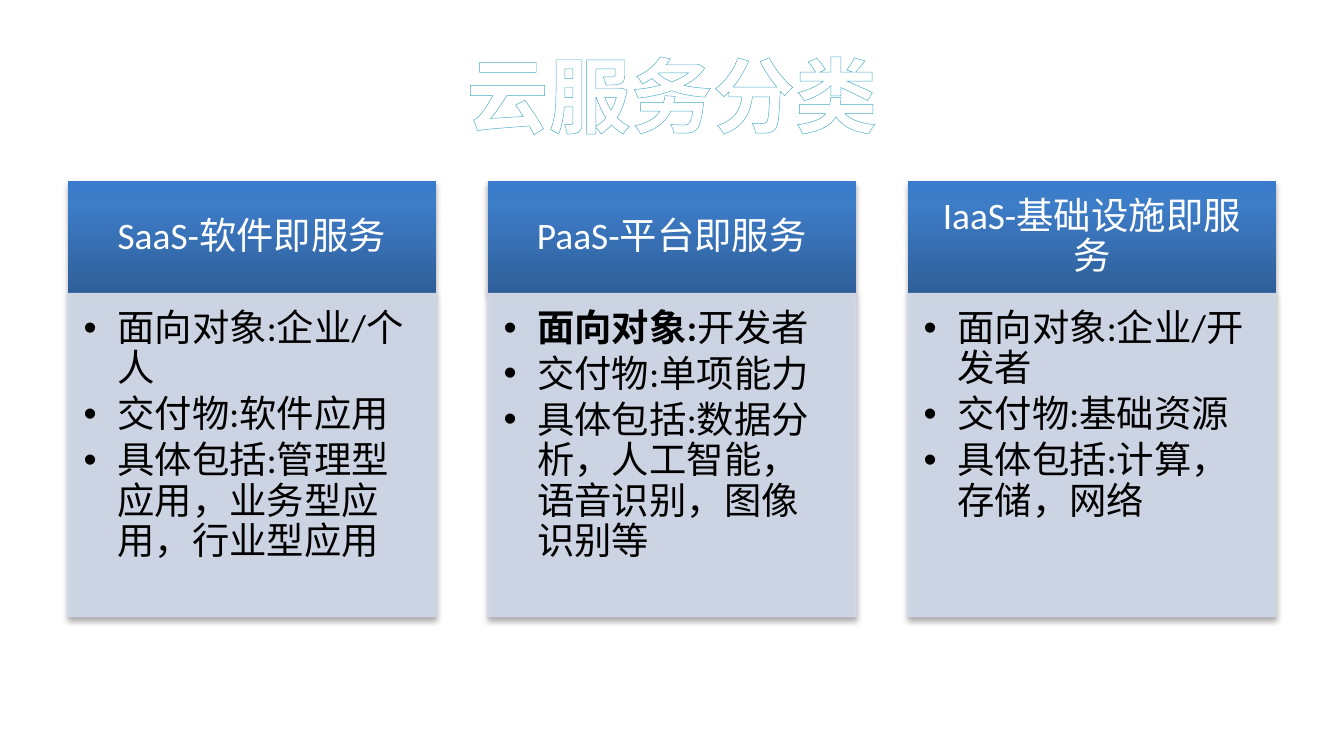
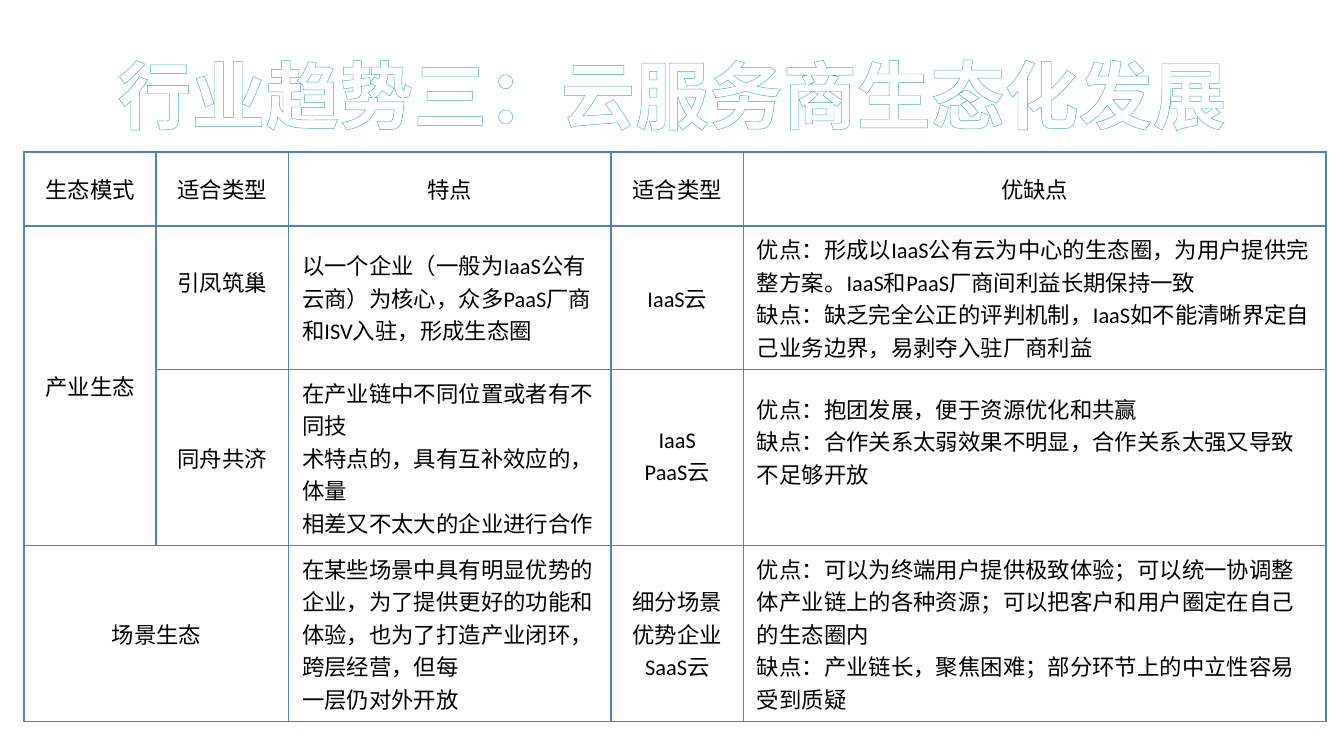
import dataclasses
import typing

import lxml.etree
import pptx
import pptx.dml.color
import pptx.enum.lang
import pptx.enum.shapes
import pptx.enum.text
import pptx.oxml.ns
import pptx.util

Pt = pptx.util.Pt
qn = pptx.oxml.ns.qn
PP_ALIGN = pptx.enum.text.PP_ALIGN
ANCHOR = pptx.enum.text.MSO_ANCHOR

COLORS = {
    "white": "FFFFFF",
    "black": "000000",
    "title_outline": "4BACC6",
    "head_dark": "2F5F99",
    "head_mid": "3D7CC7",
    "head_light": "3A7CCB",
    "card_body": "D0D8E8",
    "grid": "4F81BD",
}
BODY_FONT = "Calibri"
TITLE_FONT = "Arial"

# Card layout
CARD_LEFT, CARD_TOP, CARD_WIDTH, CARD_PITCH = 36.3, 97.2, 197.2, 225
HEAD_HEIGHT, BODY_HEIGHT = 60, 173

# Table layout
TABLE_LEFT, TABLE_TOP = 13, 81.5
COL_WIDTHS = (70.7, 70.9, 172.8, 70.9, 312)
ROW_HEIGHTS = (39.6, 76.8, 94.3, 94.3)
PROSE_COLS = (2, 4)


@dataclasses.dataclass(frozen=True)
class Card:
    heading: str
    points: tuple[str, ...]
    bold_lead: str = ""


@dataclasses.dataclass(frozen=True)
class Cell:
    row: int
    col: int
    text: str
    row_span: int = 1
    col_span: int = 1
    raised: bool = False


CARDS = (
    Card("SaaS-软件即服务",
         ("面向对象:企业/个人", "交付物:软件应用",
          "具体包括:管理型应用，业务型应用，行业型应用")),
    Card("PaaS-平台即服务",
         ("开发者", "交付物:单项能力",
          "具体包括:数据分析，人工智能，语音识别，图像识别等"),
         bold_lead="面向对象:"),
    Card("IaaS-基础设施即服务",
         ("面向对象:企业/开发者", "交付物:基础资源",
          "具体包括:计算，存储，网络")),
)

HEADINGS = ("生态模式", "适合类型", "特点", "适合类型", "优缺点")
CELLS = (
    *(Cell(0, i, text) for i, text in enumerate(HEADINGS)),
    Cell(1, 0, "产业生态", row_span=2),
    Cell(1, 1, "引凤筑巢", raised=True),
    Cell(1, 2, "以一个企业（一般为IaaS公有云商）为核心，众多PaaS厂商和ISV入驻，形成生态圈"),
    Cell(1, 3, "IaaS云"),
    Cell(1, 4, "优点：形成以IaaS公有云为中心的生态圈，为用户提供完整方案。"
               "IaaS和PaaS厂商间利益长期保持一致\n"
               "缺点：缺乏完全公正的评判机制，IaaS如不能清晰界定自己业务边界，易剥夺入驻厂商利益"),
    Cell(2, 1, "同舟共济"),
    Cell(2, 2, "在产业链中不同位置或者有不同技\n术特点的，具有互补效应的，体量\n"
               "相差又不太大的企业进行合作"),
    Cell(2, 3, "IaaS\nPaaS云"),
    Cell(2, 4, "优点：抱团发展，便于资源优化和共赢\n"
               "缺点：合作关系太弱效果不明显，合作关系太强又导致不足够开放", raised=True),
    Cell(3, 0, "场景生态", col_span=2),
    Cell(3, 2, "在某些场景中具有明显优势的企业，为了提供更好的功能和体验，"
               "也为了打造产业闭环，跨层经营，但每\n一层仍对外开放"),
    Cell(3, 3, "细分场景优势企业\nSaaS云"),
    Cell(3, 4, "优点：可以为终端用户提供极致体验；可以统一协调整体产业链上的各种资源；"
               "可以把客户和用户圈定在自己的生态圈内\n"
               "缺点：产业链长，聚焦困难；部分环节上的中立性容易受到质疑"),
)


# Shared helpers
def rgb(name: str) -> pptx.dml.color.RGBColor:
    return pptx.dml.color.RGBColor.from_string(COLORS[name])


def add_xml(parent: typing.Any, tag: str, **attrs: typing.Any) -> typing.Any:
    return lxml.etree.SubElement(parent, qn(tag), {k: str(v) for k, v in attrs.items()})


def add_color(parent: typing.Any, name: str) -> typing.Any:
    return add_xml(parent, "a:srgbClr", val=COLORS[name])


def style_paragraph(p: typing.Any, size: float, color: str,
                    align: PP_ALIGN, font: str = BODY_FONT) -> None:
    p.alignment = align
    for r in p.runs:
        r.font.size = Pt(size)
        r.font.name = font
        r.font.color.rgb = rgb(color)
        r.font.language_id = pptx.enum.lang.MSO_LANGUAGE_ID.SIMPLIFIED_CHINESE


def set_margins(target: typing.Any, left: float, top: float,
                right: float, bottom: float) -> None:
    target.margin_left, target.margin_top = Pt(left), Pt(top)
    target.margin_right, target.margin_bottom = Pt(right), Pt(bottom)


def add_title(slide: typing.Any, text: str, size: float) -> None:
    box = slide.shapes.add_textbox(Pt(36), Pt(16.5), Pt(648), Pt(67.5))
    tf = box.text_frame
    tf.word_wrap = True
    tf.vertical_anchor = ANCHOR.MIDDLE
    tf.text = text
    p = tf.paragraphs[0]
    style_paragraph(p, size, "white", PP_ALIGN.CENTER, TITLE_FONT)
    p.runs[0].font.bold = True
    rpr = p.runs[0].font._element
    outline = add_xml(rpr, "a:ln", w=Pt(0.8))
    add_color(add_xml(outline, "a:solidFill"), "title_outline")
    rpr.insert(0, outline)


# Cards
def add_panel(slide: typing.Any, left: float, top: float, height: float) -> typing.Any:
    sp = slide.shapes.add_shape(pptx.enum.shapes.MSO_SHAPE.RECTANGLE,
                                Pt(left), Pt(top), Pt(CARD_WIDTH), Pt(height))
    sp.shadow.inherit = False
    effects = sp._element.spPr.find(qn("a:effectLst"))
    shadow = add_xml(effects, "a:outerShdw", blurRad=Pt(3.1), dist=Pt(1.8),
                     dir=5400000, rotWithShape=0)
    add_xml(add_color(shadow, "black"), "a:alpha", val=35000)
    sp.text_frame.word_wrap = True
    return sp


def fill_heading(sp: typing.Any) -> None:
    sp.line.fill.background()
    sppr = sp._element.spPr
    grad = add_xml(sppr, "a:gradFill", rotWithShape=1)
    stops = add_xml(grad, "a:gsLst")
    for pos, name in ((0, "head_dark"), (80, "head_mid"), (100, "head_light")):
        add_color(add_xml(stops, "a:gs", pos=pos * 1000), name)
    add_xml(grad, "a:lin", ang=270 * 60000, scaled=0)
    sppr.find(qn("a:prstGeom")).addnext(grad)


def fill_body(sp: typing.Any) -> None:
    sp.fill.solid()
    sp.fill.fore_color.rgb = rgb("card_body")
    sp.line.color.rgb = rgb("card_body")
    sp.line.width = Pt(0.75)
    sppr = sp._element.spPr
    for fill in (sppr.find(qn("a:solidFill")), sppr.find(qn("a:ln")).find(qn("a:solidFill"))):
        add_xml(fill[0], "a:alpha", val=90000)


def add_bullet(p: typing.Any) -> None:
    ppr = p._p.get_or_add_pPr()
    ppr.set("marL", str(Pt(18)))
    ppr.set("indent", str(-Pt(18)))
    add_xml(ppr, "a:buFont", typeface="Arial")
    add_xml(ppr, "a:buChar", char="•")
    p.level = 1
    p.line_spacing = 0.9
    p.space_after = Pt(3)


def add_card(slide: typing.Any, card: Card, left: float) -> None:
    head = add_panel(slide, left, CARD_TOP, HEAD_HEIGHT)
    fill_heading(head)
    tf = head.text_frame
    set_margins(tf, 11.5, 6.5, 11.5, 6.5)
    tf.vertical_anchor = ANCHOR.MIDDLE
    tf.text = card.heading
    tf.paragraphs[0].line_spacing = 0.9
    style_paragraph(tf.paragraphs[0], 20, "white", PP_ALIGN.CENTER)

    body = add_panel(slide, left, CARD_TOP + HEAD_HEIGHT, BODY_HEIGHT)
    fill_body(body)
    tf = body.text_frame
    set_margins(tf, 8.5, 8.5, 11.4, 12.2)
    tf.vertical_anchor = ANCHOR.TOP
    tf.text = "\n".join(card.points)
    if card.bold_lead:
        p = tf.paragraphs[0]
        p.text = card.bold_lead
        p.runs[0].font.bold = True
        p.add_run().text = card.points[0]
    for p in tf.paragraphs:
        add_bullet(p)
        style_paragraph(p, 20, "black", PP_ALIGN.LEFT)


# Table
def style_cell(cell: typing.Any) -> None:
    cell.fill.background()
    tcpr = cell._tc.get_or_add_tcPr()
    for i, side in enumerate(("a:lnL", "a:lnR", "a:lnT", "a:lnB")):
        ln = add_xml(tcpr, side, w=Pt(1))
        add_color(add_xml(ln, "a:solidFill"), "grid")
        tcpr.insert(i, ln)


def add_ecology_table(slide: typing.Any) -> None:
    frame = slide.shapes.add_table(len(ROW_HEIGHTS), len(COL_WIDTHS), Pt(TABLE_LEFT),
                                   Pt(TABLE_TOP), Pt(sum(COL_WIDTHS)), Pt(sum(ROW_HEIGHTS)))
    table = frame.table
    table.first_row = table.horz_banding = False
    for col, width in zip(table.columns, COL_WIDTHS):
        col.width = Pt(width)
    for row, height in zip(table.rows, ROW_HEIGHTS):
        row.height = Pt(height)
    for cell in table.iter_cells():
        style_cell(cell)
    for item in CELLS:
        cell = table.cell(item.row, item.col)
        if item.row_span > 1 or item.col_span > 1:
            cell.merge(table.cell(item.row + item.row_span - 1, item.col + item.col_span - 1))
        cell.vertical_anchor = ANCHOR.MIDDLE
        set_margins(cell, 7.2, 3.6, 7.2, 21 if item.raised else 3.6)
        cell.text_frame.text = item.text
        prose = item.row > 0 and item.col in PROSE_COLS
        for p in cell.text_frame.paragraphs:
            style_paragraph(p, 12, "black", PP_ALIGN.LEFT if prose else PP_ALIGN.CENTER)


def main() -> None:
    prs = pptx.Presentation()
    prs.slide_width, prs.slide_height = Pt(720), Pt(405)
    blank = prs.slide_layouts[6]

    # Cloud service types
    slide = prs.slides.add_slide(blank)
    add_title(slide, "云服务分类", 44)
    for i, card in enumerate(CARDS):
        add_card(slide, card, CARD_LEFT + i * CARD_PITCH)

    # Ecosystem trend
    slide = prs.slides.add_slide(blank)
    add_title(slide, "行业趋势三：云服务商生态化发展", 39.6)
    add_ecology_table(slide)

    prs.save("out.pptx")


if __name__ == "__main__":
    main()
